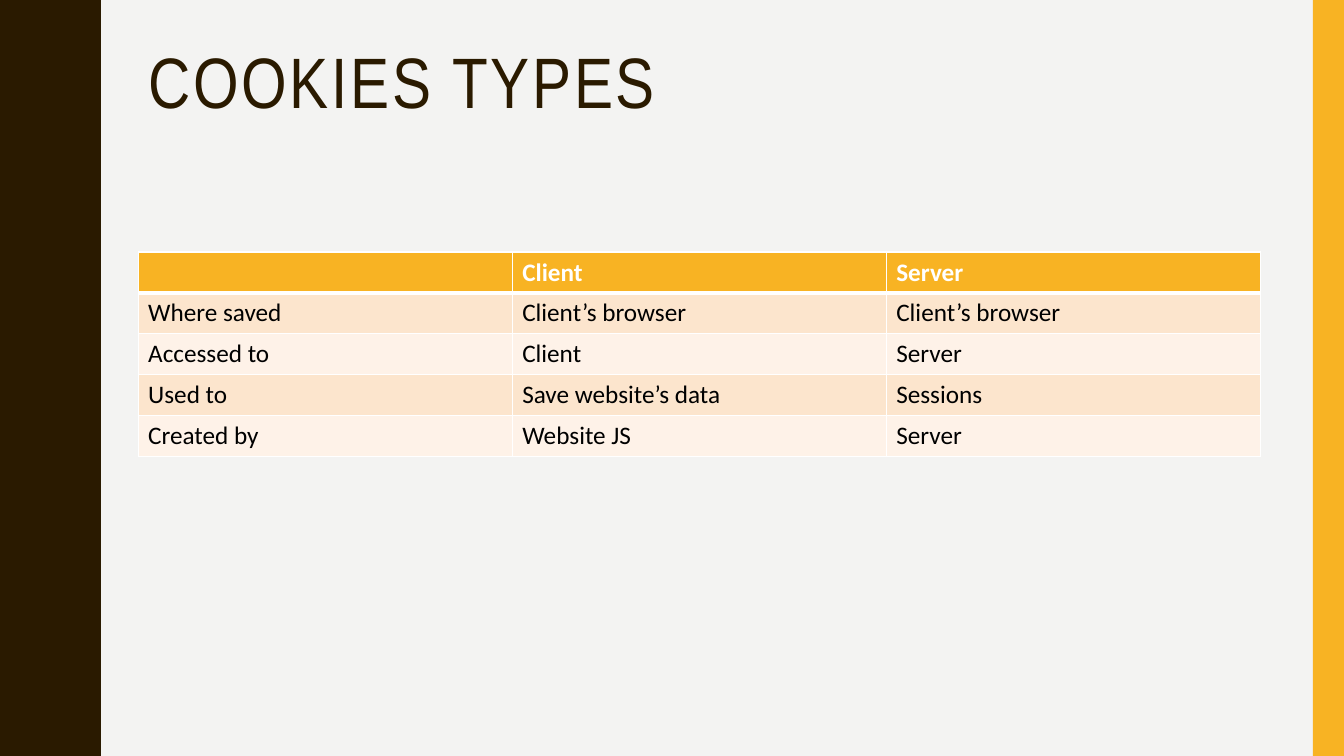
from dataclasses import dataclass

from lxml.etree import SubElement
from pptx import Presentation
from pptx.dml.color import RGBColor
from pptx.enum.shapes import MSO_SHAPE as SHAPE
from pptx.enum.text import MSO_ANCHOR as ANCHOR, PP_ALIGN as ALIGN
from pptx.oxml.ns import qn
from pptx.util import Inches, Pt

COLORS = {
    "background": "F3F3F2",
    "brown": "2A1A00",
    "amber": "F8B323",
    "band_dark": "FCE5CD",
    "band_light": "FEF2E8",
    "white": "FFFFFF",
    "black": "000000",
}
SLIDE_W, SLIDE_H = 13.33, 7.5
LEFT, WIDTH = 1.37, 11.13

# Half a wave of the left edge as (x, y); the other half mirrors it
HALF_WAVE = [
    (0.78, 0), (0.78, 0.07), (0.79, 0.14), (0.80, 0.20), (0.81, 0.25),
    (0.83, 0.29), (0.85, 0.33), (0.87, 0.38), (0.89, 0.42), (0.91, 0.46),
    (0.93, 0.50), (0.95, 0.55), (0.96, 0.61), (0.97, 0.68), (0.97, 0.75),
]
WAVE_H, WAVE_COUNT = 1.5, 5


@dataclass
class RowStyle:
    fill: str
    text: str
    bold: bool
    top: float
    bottom: float


@dataclass
class CookieRow:
    cells: tuple[str, str, str]
    style: RowStyle


HEADER = RowStyle("amber", "white", True, 1, 3)
FIRST = RowStyle("band_dark", "black", False, 3, 1)
DARK = RowStyle("band_dark", "black", False, 1, 1)
LIGHT = RowStyle("band_light", "black", False, 1, 1)

ROWS = [
    CookieRow(("", "Client", "Server"), HEADER),
    CookieRow(("Where saved", "Client’s browser", "Client’s browser"), FIRST),
    CookieRow(("Accessed to", "Client", "Server"), LIGHT),
    CookieRow(("Used to", "Save website’s data", "Sessions"), DARK),
    CookieRow(("Created by", "Website JS", "Server"), LIGHT),
]


def rgb(name: str) -> RGBColor:
    return RGBColor.from_string(COLORS[name])


def paint(sp, color: str) -> None:
    sp.fill.solid()
    sp.fill.fore_color.rgb = rgb(color)
    sp.line.fill.background()
    sp.shadow.inherit = False


def add_wavy_edge(s) -> None:
    wave = HALF_WAVE + [(x, WAVE_H - y) for x, y in HALF_WAVE[-2::-1]]
    points = [(x, y + i * WAVE_H) for i in range(WAVE_COUNT) for x, y in wave]
    builder = s.shapes.build_freeform(0, 0, scale=Inches(1))
    builder.add_line_segments(points + [(0, SLIDE_H)], close=True)
    paint(builder.convert_to_shape(), "brown")


def add_title(s, text: str) -> None:
    sp = s.shapes.add_textbox(Inches(LEFT), Inches(0.42), Inches(WIDTH), Inches(1.63))
    tf = sp.text_frame
    tf.word_wrap = True
    tf.vertical_anchor = ANCHOR.TOP
    tf.text = text
    p = tf.paragraphs[0]
    p.alignment = ALIGN.LEFT
    p.line_spacing = 0.9
    r = p.runs[0]
    r.font.name = "Arial Narrow"
    r.font.size = Pt(51)
    r.font.color.rgb = rgb("brown")
    r.font._element.set("spc", "200")


def set_borders(cell, style: RowStyle) -> None:
    """Add the white cell borders; they must stand before the fill."""
    tc_pr = cell._tc.get_or_add_tcPr()
    widths = {"a:lnL": 1, "a:lnR": 1, "a:lnT": style.top, "a:lnB": style.bottom}
    for i, (tag, width) in enumerate(widths.items()):
        ln = SubElement(tc_pr, qn(tag), w=str(Pt(width)))
        fill = SubElement(ln, qn("a:solidFill"))
        SubElement(fill, qn("a:srgbClr"), val=COLORS["white"])
        tc_pr.insert(i, ln)


def format_cell(cell, text: str, style: RowStyle) -> None:
    cell.fill.solid()
    cell.fill.fore_color.rgb = rgb(style.fill)
    set_borders(cell, style)
    cell.text_frame.text = text
    p = cell.text_frame.paragraphs[0]
    p.font.size = Pt(18)
    for r in p.runs:
        r.font.name = "Calibri"
        r.font.size = Pt(18)
        r.font.bold = style.bold
        r.font.color.rgb = rgb(style.text)


def add_cookie_table(s, rows: list[CookieRow]) -> None:
    frame = s.shapes.add_table(len(rows), len(rows[0].cells), Inches(LEFT),
                               Inches(2.5), Inches(WIDTH), Inches(2.03))
    for i, row in enumerate(rows):
        for j, text in enumerate(row.cells):
            format_cell(frame.table.cell(i, j), text, row.style)


def main() -> None:
    prs = Presentation()
    prs.slide_width, prs.slide_height = Inches(SLIDE_W), Inches(SLIDE_H)
    s = prs.slides.add_slide(prs.slide_layouts[6])
    s.background.fill.solid()
    s.background.fill.fore_color.rgb = rgb("background")

    # Side decorations
    add_wavy_edge(s)
    bar = s.shapes.add_shape(SHAPE.RECTANGLE, Inches(13.02), 0,
                             Inches(0.31), Inches(SLIDE_H))
    paint(bar, "amber")

    # Content
    add_title(s, "COOKIES TYPES")
    add_cookie_table(s, ROWS)
    prs.save("out.pptx")


if __name__ == "__main__":
    main()
